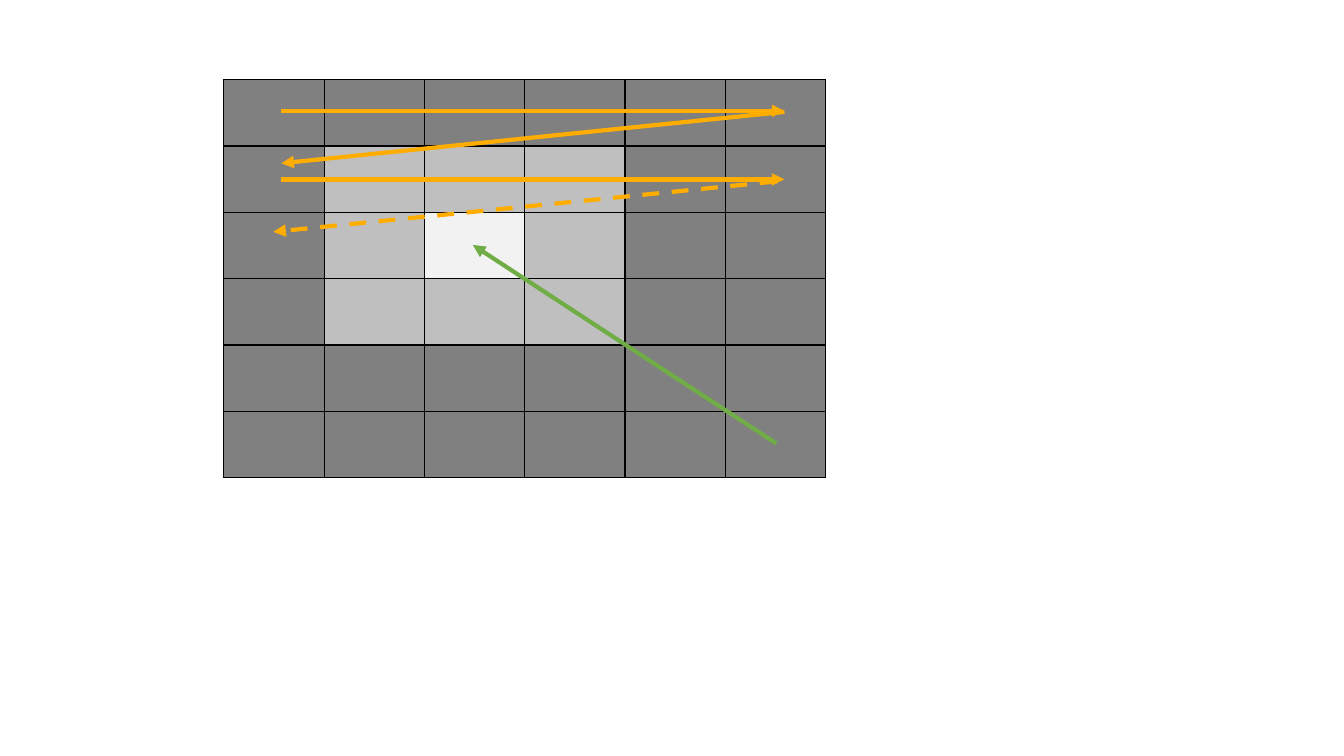
import pptx
import pptx.util
import pptx.dml.color
import pptx.enum.dml
import pptx.enum.shapes
import pptx.oxml
import pptx.oxml.ns
from lxml import etree

COLORS = {
    "D": "808080",
    "M": "BFBFBF",
    "L": "F2F2F2",
    "border": "000000",
    "scan": "FFAD00",
    "target": "70AD47",
}
PIXELS = ["DDDDDD", "DMMMDD", "DMLMDD", "DMMMDD", "DDDDDD", "DDDDDD"]
ARROWS = [
    ((2.79, 1.1), (7.78, 1.1), "scan", False),
    ((2.79, 1.78), (7.78, 1.78), "scan", False),
    ((7.78, 1.11), (2.79, 1.62), "scan", False),
    ((7.7, 1.8), (2.71, 2.3), "scan", True),
    ((7.7, 4.4), (4.69, 2.43), "target", False),
]
GRID = (2.22, 0.79, 5.97, 3.95)

Inches = pptx.util.Inches
Pt = pptx.util.Pt
qn = pptx.oxml.ns.qn


def rgb(name):
    return pptx.dml.color.RGBColor.from_string(COLORS[name])


def add_borders(cell):
    properties = cell._tc.get_or_add_tcPr()
    for side in ("lnL", "lnR", "lnT", "lnB"):
        line = etree.SubElement(properties, qn("a:" + side), w=str(Pt(1)))
        fill = etree.SubElement(line, qn("a:solidFill"))
        etree.SubElement(fill, qn("a:srgbClr"), val=COLORS["border"])


def add_grid(slide):
    frame = slide.shapes.add_table(len(PIXELS), len(PIXELS[0]), *map(Inches, GRID))
    table = frame.table
    table.first_row = False
    table.horz_banding = False
    for row_index, row in enumerate(PIXELS):
        for column_index, shade in enumerate(row):
            cell = table.cell(row_index, column_index)
            add_borders(cell)
            cell.fill.solid()
            cell.fill.fore_color.rgb = rgb(shade)
            cell.text_frame.paragraphs[0].font.name = "Calibri"


def add_arrow(slide, start, end, color, dashed):
    connector = slide.shapes.add_connector(
        pptx.enum.shapes.MSO_CONNECTOR.STRAIGHT, *map(Inches, start + end)
    )
    connector.line.color.rgb = rgb(color)
    connector.line.width = Pt(3)
    if dashed:
        connector.line.dash_style = pptx.enum.dml.MSO_LINE.DASH
    properties = connector._element.spPr
    etree.SubElement(properties.find(qn("a:ln")), qn("a:tailEnd"), type="triangle")
    etree.SubElement(properties, qn("a:effectLst"))


presentation = pptx.Presentation()
presentation.slide_width = Inches(13.33)
presentation.slide_height = Inches(7.5)
slide = presentation.slides.add_slide(presentation.slide_layouts[6])
add_grid(slide)
for arrow in ARROWS:
    add_arrow(slide, *arrow)
presentation.save("out.pptx")
